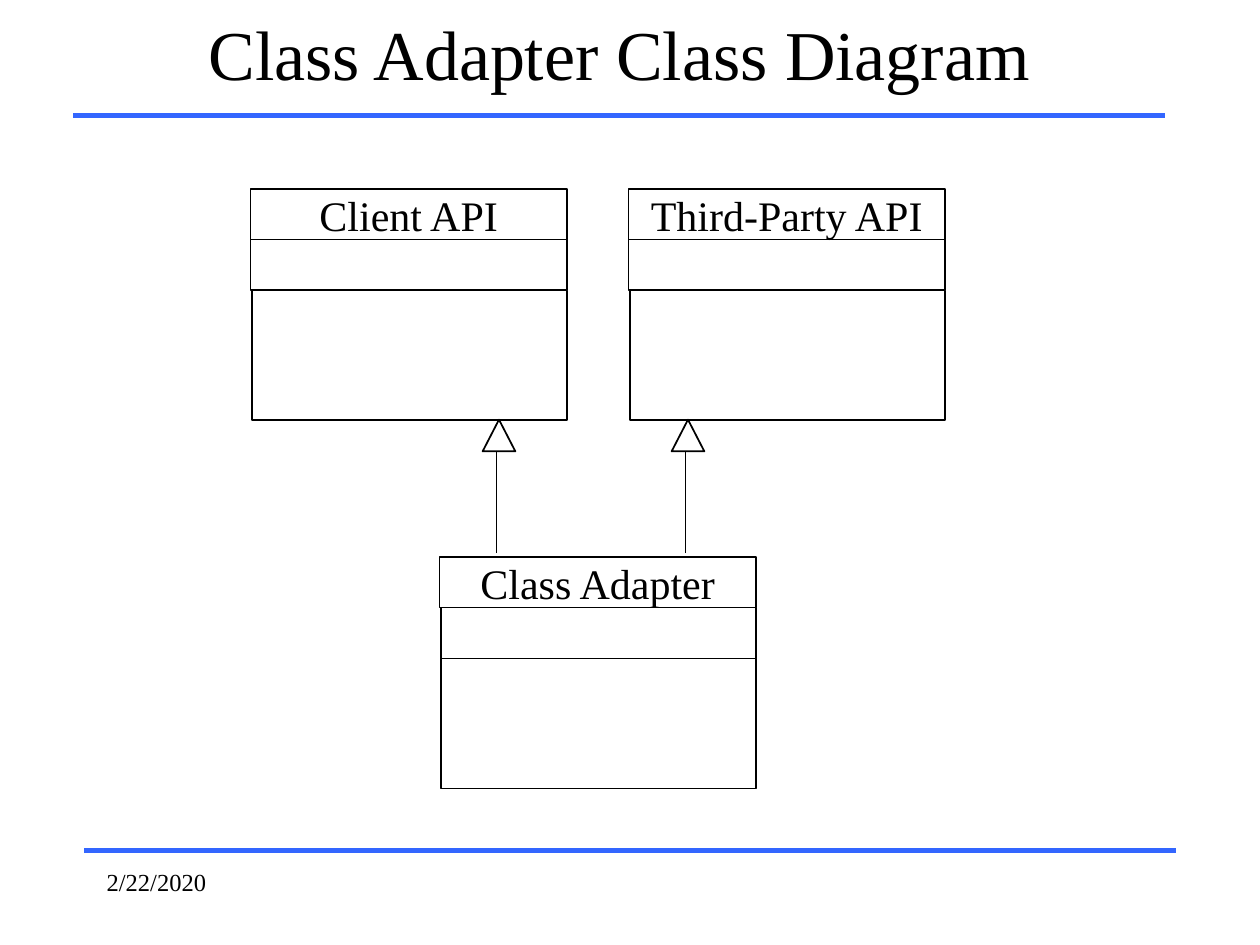
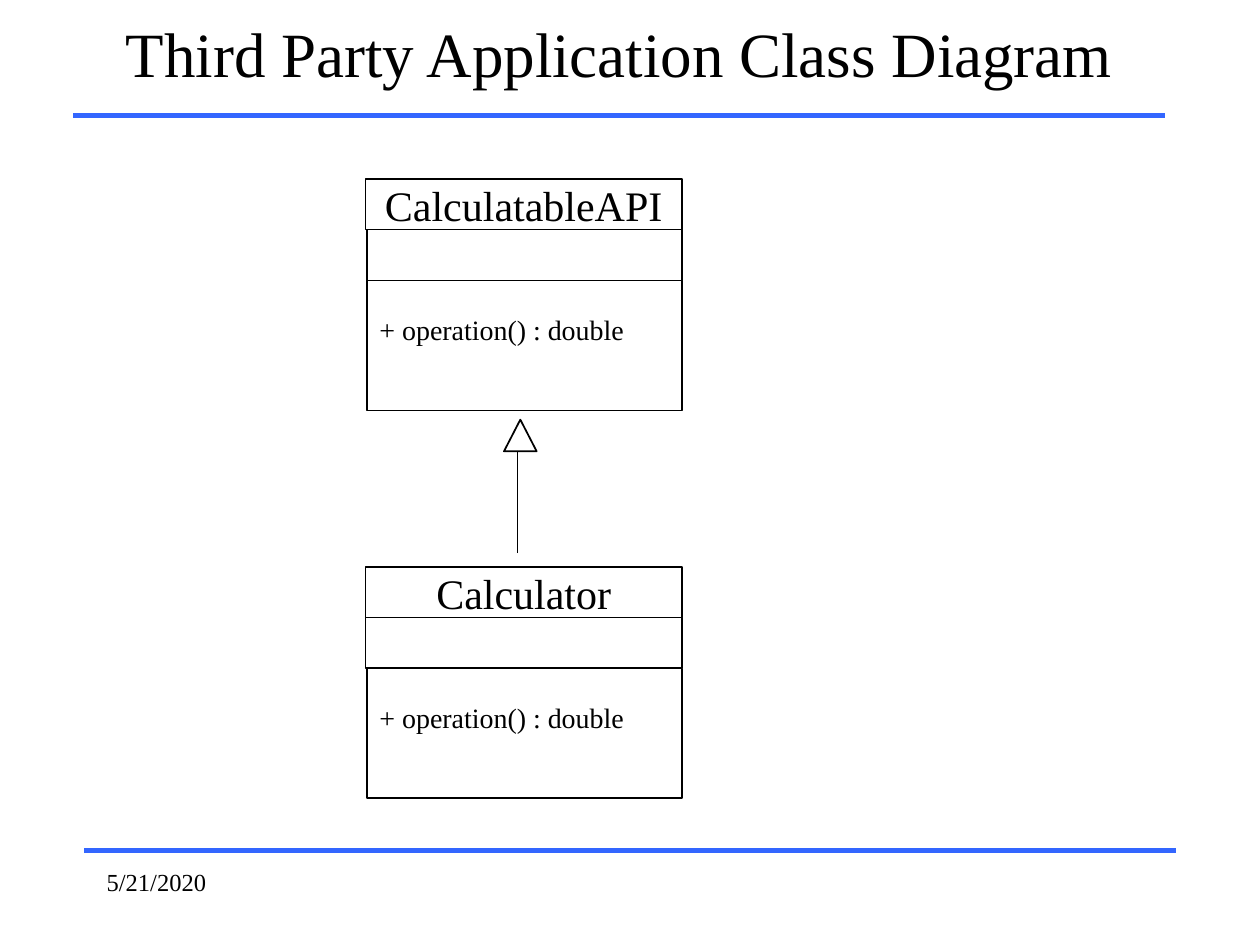
"""Build two class diagram slides that share title, rules and date styling."""
import pptx
import pptx.util
import pptx.dml.color
import pptx.enum.shapes
import pptx.enum.text
import lxml.etree
from pptx.util import Cm, Pt

COLORS = {"text": "000000", "outline": "000000", "fill": "FFFFFF", "rule": "3366FF"}
FONT = "Times New Roman"
SHAPES = pptx.enum.shapes.MSO_SHAPE
ALIGN = pptx.enum.text.PP_ALIGN
ANCHOR = pptx.enum.text.MSO_ANCHOR
RGB = pptx.dml.color.RGBColor.from_string
A_NS = "http://schemas.openxmlformats.org/drawingml/2006/main"

ROW_H, OPERATIONS_H = 1.02, 2.62
CLASS_W, INSET = 6.38, 0.03
TRIANGLE_W, TRIANGLE_H, TRIANGLE_TOP = 0.66, 0.64, 8.46
STEM_TOP, STEM_BOTTOM = 8.81, 11.15
RULES = [(1.7, 17.15), (1.48, 2.33)]
RULE_W = 22.01

SLIDES = [
    {
        "title": "Class Adapter Class Diagram",
        "title_size": 40,
        "date": "2/22/2020",
        "classes": [
            ("Client API", 5.05, 3.81, 0, ""),
            ("Class Adapter", 8.86, 11.23, INSET, ""),
            ("Third-Party API", 12.67, 3.81, 0, ""),
        ],
        "arrows": [9.73, 13.54],
    },
    {
        "title": "Third Party Application Class Diagram",
        "title_size": 36,
        "date": "5/21/2020",
        "classes": [
            ("Calculator", 7.37, 11.43, 0, "+ operation() : double"),
            ("CalculatableAPI", 7.37, 3.61, INSET, "+ operation() : double"),
        ],
        "arrows": [10.16],
    },
]


def write(tf, text, size, align, anchor):
    tf.word_wrap = True
    tf.auto_size = pptx.enum.text.MSO_AUTO_SIZE.NONE
    tf.vertical_anchor = anchor
    p = tf.paragraphs[0]
    p.alignment = align
    r = p.add_run()
    r.text = text
    r.font.name = FONT
    r.font.size = Pt(size)
    r.font.color.rgb = RGB(COLORS["text"])


def add_line(s, x1, y1, x2, y2, color, width):
    line = s.shapes.add_connector(
        pptx.enum.shapes.MSO_CONNECTOR.STRAIGHT, Cm(x1), Cm(y1), Cm(x2), Cm(y2))
    line.line.color.rgb = RGB(color)
    line.line.width = Pt(width)
    lxml.etree.SubElement(line._element.spPr, f"{{{A_NS}}}effectLst")


prs = pptx.Presentation()
prs.slide_width, prs.slide_height = Cm(25.4), Cm(19.05)

for page in SLIDES:
    s = prs.slides.add_slide(prs.slide_layouts[5])
    for x, y in RULES:
        add_line(s, x, y, x + RULE_W, y, COLORS["rule"], 3)

    title = s.shapes.title
    title.left, title.top, title.width, title.height = Cm(1.48), Cm(0), Cm(RULE_W), Cm(2.12)
    write(title.text_frame, page["title"], page["title_size"], ALIGN.CENTER, ANCHOR.MIDDLE)

    date = s.shapes.add_textbox(Cm(1.9), Cm(17.36), Cm(5.29), Cm(1.27))
    write(date.text_frame, page["date"], 14, ALIGN.LEFT, ANCHOR.TOP)

    for name, left, top, inset, operation in page["classes"]:
        compartments = [
            (inset, ROW_H, ROW_H, "", 16, ALIGN.LEFT),
            (INSET, 2 * ROW_H, OPERATIONS_H, operation, 16, ALIGN.LEFT),
            (0, 0, ROW_H, name, 24, ALIGN.CENTER),
        ]
        for dx, dy, height, text, size, align in compartments:
            sp = s.shapes.add_shape(
                SHAPES.RECTANGLE, Cm(left + dx), Cm(top + dy), Cm(CLASS_W - dx), Cm(height))
            sp.shadow.inherit = False
            sp.fill.solid()
            sp.fill.fore_color.rgb = RGB(COLORS["fill"])
            sp.line.color.rgb = RGB(COLORS["outline"])
            sp.line.width = Pt(0.75)
            if text:
                tf = sp.text_frame
                tf.margin_top = Cm(0)
                tf.margin_bottom = Cm(0.64 if text == operation else 0)
                write(tf, text, size, align, ANCHOR.MIDDLE)

    for left in page["arrows"]:
        stem_x = left + 0.28
        add_line(s, stem_x, STEM_BOTTOM, stem_x, STEM_TOP, COLORS["outline"], 0.5)
        sp = s.shapes.add_shape(
            SHAPES.ISOSCELES_TRIANGLE, Cm(left), Cm(TRIANGLE_TOP), Cm(TRIANGLE_W), Cm(TRIANGLE_H))
        sp.shadow.inherit = False
        sp.fill.solid()
        sp.fill.fore_color.rgb = RGB(COLORS["fill"])
        sp.line.color.rgb = RGB(COLORS["outline"])
        sp.line.width = Pt(1)

prs.save("out.pptx")
